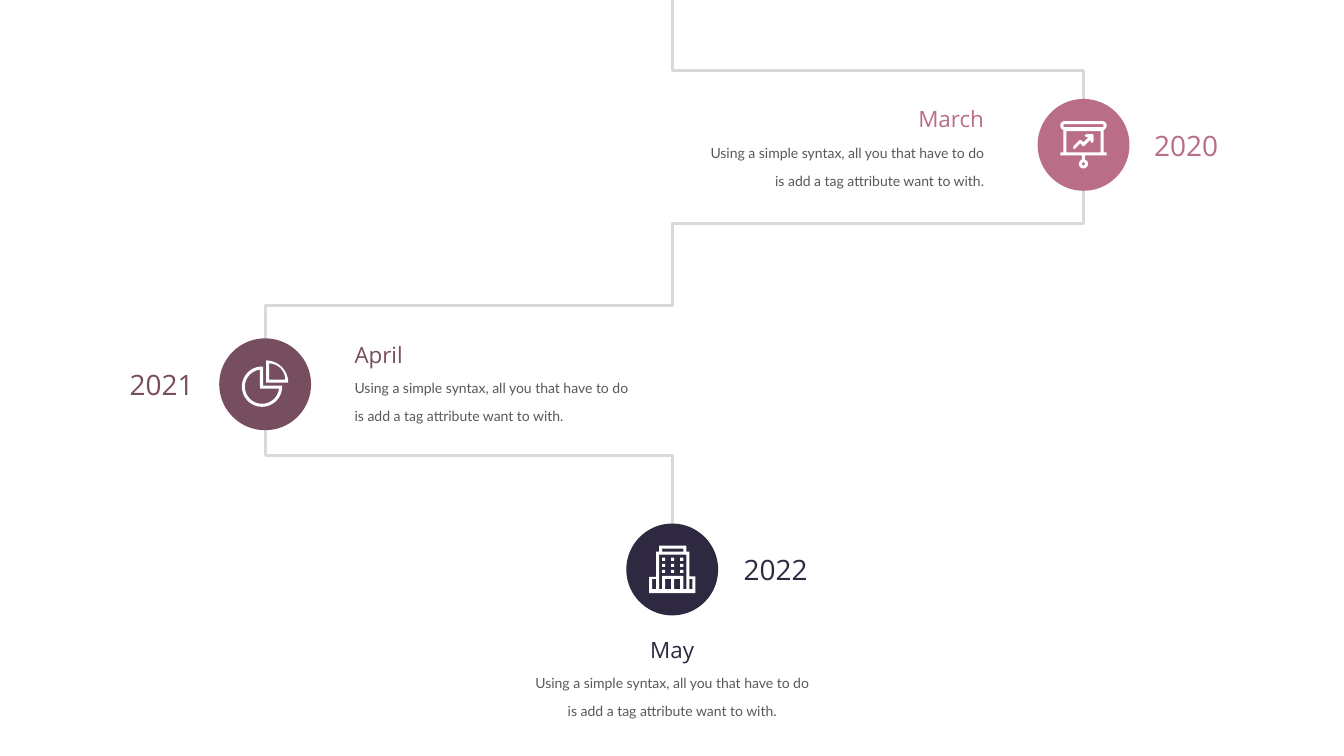
import math

from pptx import Presentation
from pptx import util as u
from pptx.dml import color as c
from pptx.enum import shapes, text

Pt = u.Pt
colour = c.RGBColor.from_string
WHITE, LINE_GREY, TEXT_GREY = "FFFFFF", "D9D9D9", "595959"
ROSE, PLUM, NAVY = "BA6D87", "774E60", "2E2940"
LEFT, CENTER, RIGHT = text.PP_ALIGN.LEFT, text.PP_ALIGN.CENTER, text.PP_ALIGN.RIGHT
DESCRIPTION = "Using a simple syntax, all you that have to do is add a tag attribute want to with."
DIAMETER = 65.6
ICON_UNIT = 0.72


def arc(x, y, radius, start, end):
    steps = 36
    angles = [math.radians(start + (end - start) * step / steps) for step in range(steps + 1)]
    return [(x + radius * math.cos(angle), y + radius * math.sin(angle)) for angle in angles]


def draw_freeform(contours, left, top, unit, closed):
    builder = None
    for contour in contours:
        points = [(100 * x, 100 * y) for x, y in contour]
        if builder is None:
            builder = slide.shapes.build_freeform(*points[0], scale=Pt(unit) / 100)
        else:
            builder.move_to(*points[0])
        builder.add_line_segments(points[1:], close=closed)
    shape = builder.convert_to_shape(Pt(left), Pt(top))
    shape.shadow.inherit = False
    return shape


presentation = Presentation()
presentation.slide_width, presentation.slide_height = Pt(960), Pt(540)
slide = presentation.slides.add_slide(presentation.slide_layouts[6])

west, middle, east = 189.4, 480.2, 774
route = [(middle, 406.8), (middle, 325.5), (west, 325.5), (west, 218.2), (middle, 218.2),
         (middle, 159.8), (east, 159.8), (east, 50.4), (middle, 50.4), (middle, 0)]
path_line = draw_freeform([route], 0, 0, 1, False)
path_line.fill.background()
path_line.line.color.rgb = colour(LINE_GREY)
path_line.line.width = Pt(2)

board_icon = {
    "rectangles": [(6, 10, 40, 31)],
    "outlines": [
        arc(4.5, 4.5, 4.5, 90, 270) + arc(41.5, 4.5, 4.5, -90, 90)
        + [(43, 9), (43, 31), (46, 31), (46, 34), (24.5, 34), (24.5, 38)]
        + arc(23, 42.5, 4.5, -70, 250)
        + [(21.5, 38), (21.5, 34), (0, 34), (0, 31), (3, 31), (3, 9)],
        arc(4.5, 4.5, 1.5, 90, 270) + arc(41.5, 4.5, 1.5, -90, 90),
        arc(23, 42.5, 1.5, 0, 360),
        [(14, 28), (20, 22), (22, 24.5), (23, 25), (24, 24.5), (30, 18.5), (30, 20),
         (31.5, 22), (33, 20), (33, 14), (32, 13), (26, 13), (24, 14.5), (26, 16),
         (28, 16), (23, 21), (21, 19), (19, 19), (13, 25), (13, 27.5)],
    ],
}
pie_icon = {
    "rectangles": [],
    "outlines": [
        [(21, 25)] + arc(20, 26, 20, -3, 273),
        [(18, 28)] + arc(20, 26, 17, 7, 263),
        [(24, 22)] + arc(24, 22, 22, -90, 0),
        [(27, 19)] + arc(27, 19, 16, -90, 0),
    ],
}
windows = [(13 + 9 * column, 12 + 6 * row, 16 + 9 * column, 15 + 6 * row)
           for row in range(3) for column in range(3)]
building_icon = {
    "rectangles": [(13, 3, 34, 6), (3, 33, 7, 43), (16, 33, 22, 43), (25, 33, 31, 43),
                   (40, 33, 43, 43)] + windows,
    "outlines": [
        [(0, 31), (7, 31), (7, 6), (10, 6), (10, 0), (37, 0), (37, 6), (40, 6),
         (40, 30.5), (46, 30.5), (46, 47), (0, 47)],
        [(10, 9), (37, 9), (37, 43), (34, 43), (34, 30), (13, 30), (13, 43), (10, 43)],
    ],
}

milestones = [
    ("March", "2020", ROSE, (east, 103.5), (497.5, 71.5), RIGHT, 43.3, LEFT, board_icon),
    ("April", "2021", PLUM, (west, 274.5), (246.2, 240), LEFT, -130.3, RIGHT, pie_icon),
    ("May", "2022", NAVY, (middle, 406.8), (373.9, 450.7), CENTER, 43.9, LEFT, building_icon),
]

for month, year, shade, center, corner, alignment, year_shift, year_alignment, icon in milestones:
    x, y = center
    left, top = corner
    circle = slide.shapes.add_shape(
        shapes.MSO_SHAPE.OVAL, Pt(x - DIAMETER / 2), Pt(y - DIAMETER / 2), Pt(DIAMETER), Pt(DIAMETER))
    circle.shadow.inherit = False
    circle.fill.solid()
    circle.fill.fore_color.rgb = colour(shade)
    circle.line.fill.background()

    contours = icon["outlines"] + [[(l, t), (r, t), (r, b), (l, b)] for l, t, r, b in icon["rectangles"]]
    symbol = draw_freeform(contours, x - 16.6, y - 17, ICON_UNIT, True)
    symbol.fill.solid()
    symbol.fill.fore_color.rgb = colour(WHITE)
    symbol.line.fill.background()

    labels = [
        (month, (left, top, 212.4, 26.6), alignment, None, "Open Sans", 16, shade),
        (DESCRIPTION, (left, top + 21.1, 212.4, 44.6), alignment, Pt(20), "Lato", 10, TEXT_GREY),
        (year, (x + year_shift, y - 15.8, 86.4, 31.6), year_alignment, None, "Open Sans", 20, shade),
    ]
    for wording, bounds, align, spacing, font_name, size, ink in labels:
        box = slide.shapes.add_textbox(*[Pt(length) for length in bounds])
        frame = box.text_frame
        paragraph = frame.paragraphs[0]
        paragraph.text = wording
        font = paragraph.runs[0].font
        formats = [
            (frame, {"word_wrap": True, "vertical_anchor": text.MSO_ANCHOR.MIDDLE,
                     "auto_size": text.MSO_AUTO_SIZE.SHAPE_TO_FIT_TEXT}),
            (paragraph, {"alignment": align, "line_spacing": spacing}),
            (font, {"name": font_name, "size": Pt(size)}),
            (font.color, {"rgb": colour(ink)}),
        ]
        for target, values in formats:
            for name, value in values.items():
                setattr(target, name, value)

presentation.save("out.pptx")
